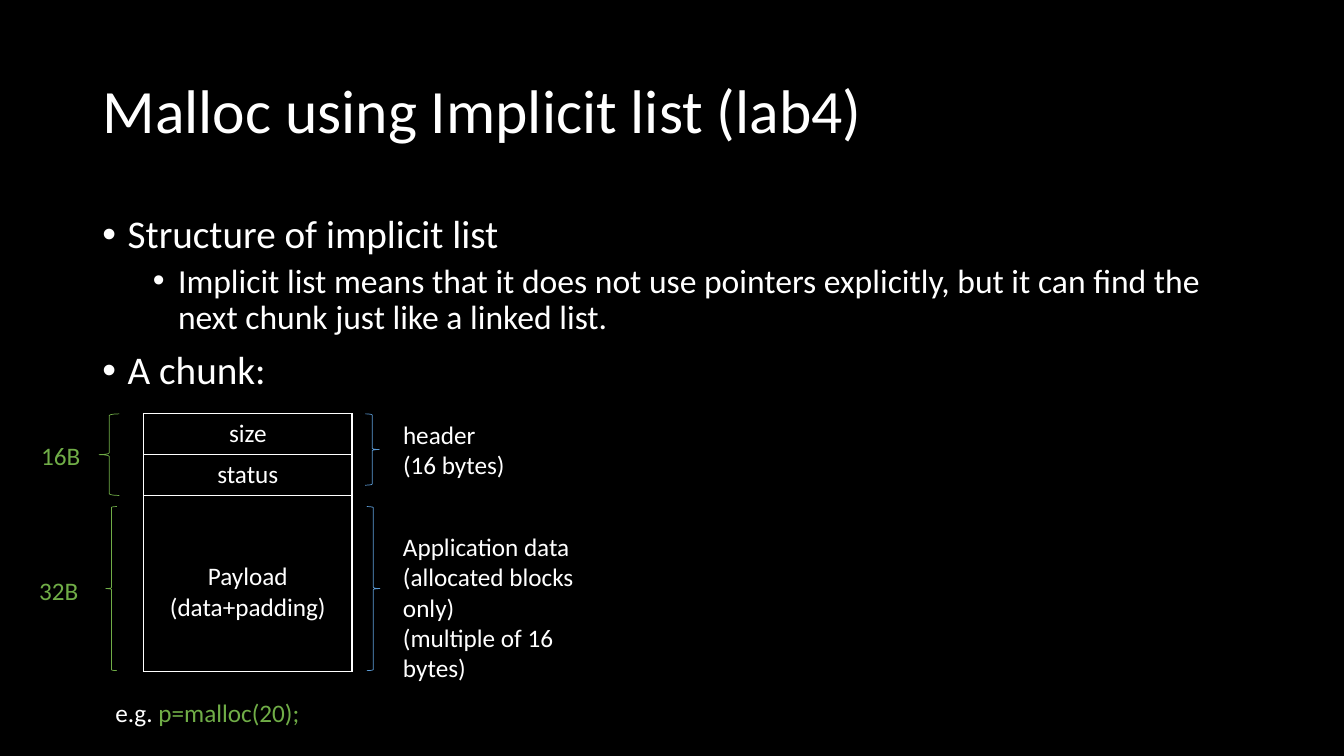
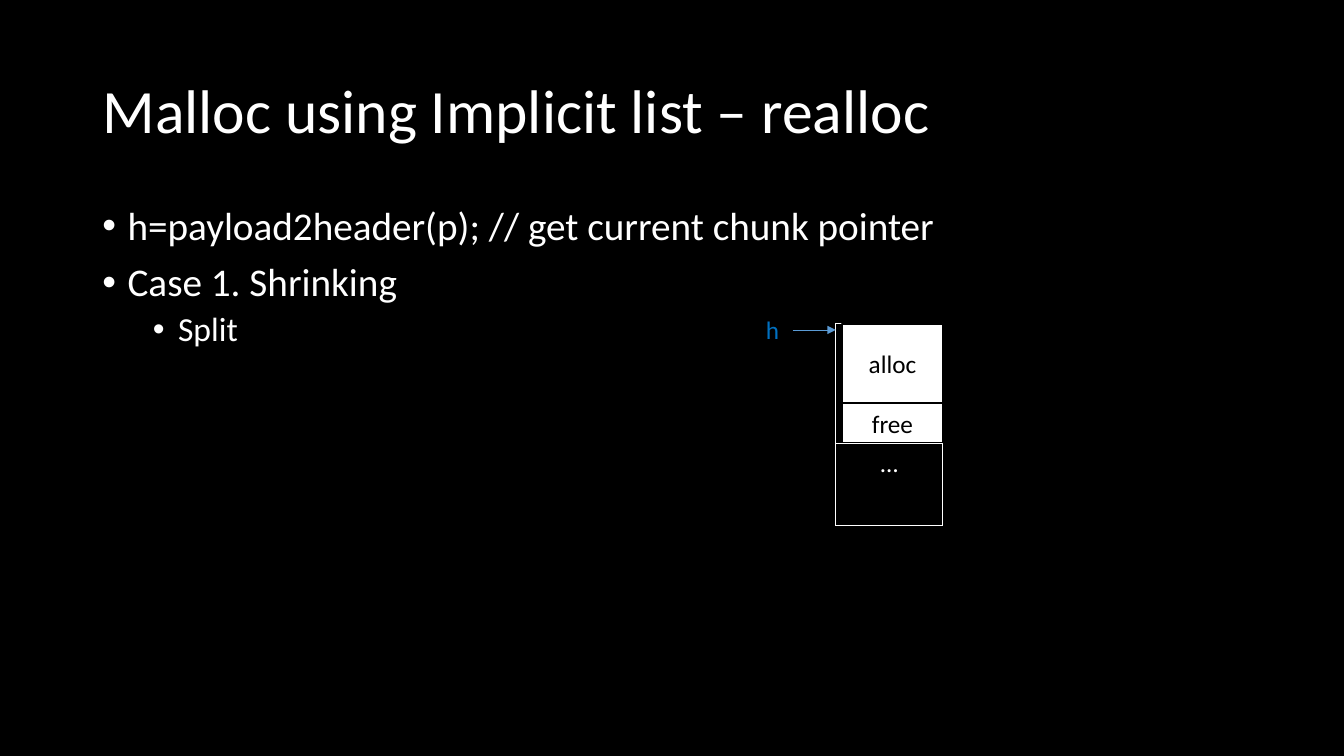
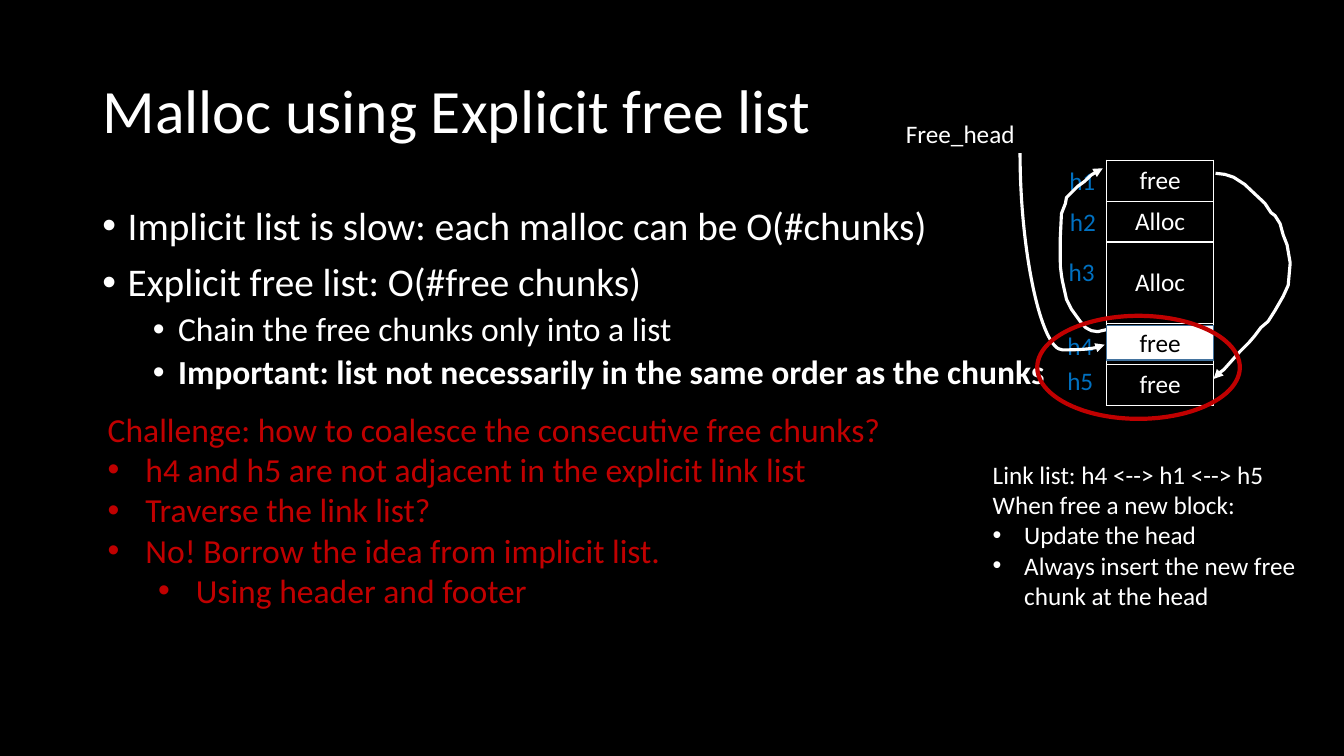
import dataclasses
import itertools
from typing import Any

import lxml.etree
import pptx
import pptx.dml.color
import pptx.enum.shapes
import pptx.enum.text
import pptx.oxml.ns
import pptx.util

FONT = "Calibri"
BLACK, WHITE, RED = "000000", "FFFFFF", "C00000"
GREEN, BLUE, SKY, STEEL = "70AD47", "0070C0", "5B9BD5", "43739E"
ROW = 29.2
LINE = 21.95
CENTER = pptx.enum.text.PP_ALIGN.CENTER
LEFT = pptx.enum.text.PP_ALIGN.LEFT
TOP = pptx.enum.text.MSO_ANCHOR.TOP
MIDDLE = pptx.enum.text.MSO_ANCHOR.MIDDLE
SHAPE = pptx.enum.shapes.MSO_SHAPE
CONNECTOR = pptx.enum.shapes.MSO_CONNECTOR


@dataclasses.dataclass(frozen=True)
class Frame:
    left: float
    top: float
    width: float
    height: float

    def lengths(self) -> list[int]:
        return [pptx.util.Pt(value) for value in dataclasses.astuple(self)]


@dataclasses.dataclass(frozen=True)
class Span:
    text: str
    color: str = WHITE
    bold: bool = False


@dataclasses.dataclass(frozen=True)
class Para:
    spans: tuple[Span, ...]
    size: float = 18
    level: int = 0
    align: Any = LEFT
    margin: float = 0
    hanging: float = 0
    before: float = 0
    spacing: float = 1.0


@dataclasses.dataclass(frozen=True)
class Label:
    frame: Frame
    paras: tuple[Para, ...]


@dataclasses.dataclass(frozen=True)
class Cell:
    height: float
    lines: tuple[str, ...]
    anchor: Any = TOP
    margin_top: float = 3.6


@dataclasses.dataclass(frozen=True)
class Outline:
    kind: Any
    frame: Frame
    color: str
    weight: float


@dataclasses.dataclass(frozen=True)
class Block:
    frame: Frame
    text: str
    border: str


TITLE_FRAME = Frame(66, 28.8, 828, 104.4)


def color(code: str) -> pptx.dml.color.RGBColor:
    return pptx.dml.color.RGBColor.from_string(code)


def set_format(target: Any, values: dict[str, Any]) -> None:
    for name, value in values.items():
        setattr(target, name, value)


def add_element(parent: Any, tag: str, **attributes: str) -> Any:
    return lxml.etree.SubElement(parent, pptx.oxml.ns.qn(tag), attributes)


def plain(text: str, hue: str = WHITE, **values: Any) -> Para:
    return Para((Span(text, hue),), **values)


def point(text: str, level: int = 0, bold: bool = False) -> Para:
    return Para((Span(text, bold=bold),), size=24 if level else 28, level=level,
                margin=18 + 36 * level, hanging=18, before=5 if level else 10, spacing=0.9)


def write(text_frame: Any, paras: tuple[Para, ...]) -> None:
    for index, para in enumerate(paras):
        target = text_frame.paragraphs[0] if index == 0 else text_frame.add_paragraph()
        properties = target._p.get_or_add_pPr()
        properties.set("marL", str(pptx.util.Pt(para.margin)))
        properties.set("indent", str(-pptx.util.Pt(para.hanging)))
        if para.hanging:
            add_element(properties, "a:buFont", typeface="Arial")
            add_element(properties, "a:buChar", char="•")
        else:
            add_element(properties, "a:buNone")
        set_format(target, {
            "level": para.level, "alignment": para.align, "line_spacing": para.spacing,
            "space_before": pptx.util.Pt(para.before if index else 0),
        })
        for span in para.spans:
            run = target.add_run()
            run.text = span.text
            set_format(run.font, {"name": FONT, "size": pptx.util.Pt(para.size), "bold": span.bold})
            run.font.color.rgb = color(span.color)


def place(shape: Any, frame: Frame) -> None:
    set_format(shape, dict(zip(("left", "top", "width", "height"), frame.lengths())))


def add_page(deck: Any, title: str, body_frame: Frame, points: tuple[Para, ...]) -> Any:
    page = deck.slides.add_slide(deck.slide_layouts[1])
    heading = plain(title, size=44, spacing=0.9)
    for holder, frame, anchor, paras in (
        (page.shapes.title, TITLE_FRAME, MIDDLE, (heading,)),
        (page.placeholders[1], body_frame, TOP, points),
    ):
        place(holder, frame)
        set_format(holder.text_frame, {
            "word_wrap": True, "vertical_anchor": anchor,
            "auto_size": pptx.enum.text.MSO_AUTO_SIZE.NONE,
        })
        write(holder.text_frame, paras)
    return page


def add_label(page: Any, label: Label) -> Any:
    box = page.shapes.add_textbox(*label.frame.lengths())
    box.text_frame.word_wrap = True
    write(box.text_frame, label.paras)
    return box


def add_stack(page: Any, left: float, top: float, width: float, cells: tuple[Cell, ...]) -> None:
    frame = Frame(left, top, width, sum(cell.height for cell in cells))
    table = page.shapes.add_table(len(cells), 1, *frame.lengths()).table
    set_format(table, {"first_row": False, "horz_banding": False})
    for index, item in enumerate(cells):
        table.rows[index].height = pptx.util.Pt(item.height)
        cell = table.cell(index, 0)
        set_format(cell, {"vertical_anchor": item.anchor, "margin_top": pptx.util.Pt(item.margin_top)})
        properties = cell._tc.get_or_add_tcPr()
        for side in ("L", "R", "T", "B"):
            border = add_element(properties, f"a:ln{side}", w=str(pptx.util.Pt(1)))
            add_element(add_element(border, "a:solidFill"), "a:srgbClr", val=WHITE)
        cell.fill.background()
        write(cell.text_frame, tuple(plain(text, align=CENTER) for text in item.lines))


def set_line(shape: Any, hue: str, weight: float, arrow: bool = False) -> None:
    shape.line.color.rgb = color(hue)
    shape.line.width = pptx.util.Pt(weight)
    if arrow:
        line = shape._element.spPr.find(pptx.oxml.ns.qn("a:ln"))
        add_element(line, "a:tailEnd", type="triangle")


def add_outline(page: Any, outline: Outline) -> None:
    shape = page.shapes.add_shape(outline.kind, *outline.frame.lengths())
    shape.shadow.inherit = False
    shape.fill.background()
    set_line(shape, outline.color, outline.weight)


def add_block(page: Any, block: Block) -> None:
    shape = page.shapes.add_shape(SHAPE.RECTANGLE, *block.frame.lengths())
    shape.shadow.inherit = False
    shape.fill.solid()
    shape.fill.fore_color.rgb = color(WHITE)
    set_line(shape, block.border, 1)
    shape.text_frame.vertical_anchor = MIDDLE
    write(shape.text_frame, (plain(block.text, BLACK, align=CENTER),))


def add_arrow(page: Any, kind: Any, ends: tuple[float, ...], hue: str, weight: float) -> Any:
    arrow = page.shapes.add_connector(kind, *(pptx.util.Pt(value) for value in ends))
    set_line(arrow, hue, weight, arrow=True)
    add_element(arrow._element.spPr, "a:effectLst")
    return arrow


def add_sketch(page: Any, points: tuple[tuple[float, float], ...]) -> None:
    lengths = [(pptx.util.Pt(across), pptx.util.Pt(down)) for across, down in points]
    builder = page.shapes.build_freeform(*lengths[0])
    builder.add_line_segments(lengths[1:], close=False)
    sketch = builder.convert_to_shape()
    sketch.shadow.inherit = False
    sketch.fill.background()
    set_line(sketch, WHITE, 2.25, arrow=True)


def build_chunk_page(deck: Any) -> None:
    page = add_page(deck, "Malloc using Implicit list (lab4)", Frame(66, 149.8, 828, 342.7), (
        point("Structure of implicit list"),
        point("Implicit list means that it does not use pointers explicitly, "
              "but it can find the next chunk just like a linked list.", 1),
        point("A chunk:"),
    ))
    add_stack(page, 102.5, 295.5, 149, (
        Cell(ROW, ("size",)),
        Cell(ROW, ("status",)),
        Cell(125.6, ("Payload", "(data+padding)"), margin_top=3.6 + 2 * LINE),
    ))
    for outline in (
        Outline(SHAPE.RIGHT_BRACE, Frame(260.9, 295.6, 10, 51), SKY, 0.5),
        Outline(SHAPE.RIGHT_BRACE, Frame(262, 361.8, 9.4, 117.2), SKY, 0.5),
        Outline(SHAPE.LEFT_BRACE, Frame(75.6, 361.8, 8, 117.2), GREEN, 0.5),
        Outline(SHAPE.LEFT_BRACE, Frame(70.8, 295.6, 14.4, 58.3), GREEN, 0.5),
    ):
        add_outline(page, outline)
    for label in (
        Label(Frame(280.8, 295.9, 92.9, 51), (plain("header"), plain("(16 bytes)"))),
        Label(Frame(280.8, 376, 165.6, 116.6), (
            plain("Application data"),
            plain("(allocated blocks only)"),
            plain("(multiple of 16 bytes)"),
        )),
        Label(Frame(75.3, 494.6, 185.8, 29), (Para((Span("e.g. "), Span("p=malloc(20);", GREEN))),)),
        Label(Frame(20.9, 407.5, 50.4, 29), (plain("32B", GREEN),)),
        Label(Frame(22.3, 311, 50.4, 29), (plain("16B", GREEN),)),
    ):
        add_label(page, label)


def build_realloc_page(deck: Any) -> None:
    page = add_page(deck, "Malloc using Implicit list – realloc", Frame(66, 144, 828, 342.7), (
        point("h=payload2header(p); // get current chunk pointer"),
        point("Case 1. Shrinking"),
        point("Split", 1),
    ))
    add_stack(page, 597, 231, 76.3, (Cell(85.6, ("Alloc",)), Cell(58.8, ("…",))))
    pointer = add_label(page, Label(Frame(540, 221.2, 26.2, 29), (plain("h", BLUE),)))
    arrow = add_arrow(page, CONNECTOR.STRAIGHT, (566.2, 235.7, 597, 235.7), SKY, 0.5)
    arrow.begin_connect(pointer, 3)
    add_block(page, Block(Frame(601.5, 231.4, 72, 56.4), "alloc", BLACK))
    add_block(page, Block(Frame(601.5, 288, 72, 28.2), "free", BLACK))


def build_free_list_page(deck: Any) -> None:
    page = add_page(deck, "Malloc using Explicit free list", Frame(66, 144, 871.9, 342.7), (
        point("Implicit list is slow: each malloc can be O(#chunks)"),
        point("Explicit free list: O(#free chunks)"),
        point("Chain the free chunks only into a list", 1),
        point("Important: list not necessarily in the same order as the chunks", 1, bold=True),
    ))
    add_stack(page, 790.4, 114.5, 76.5, (
        Cell(ROW, ("free",)),
        Cell(ROW, ("Alloc",)),
        Cell(2 * ROW, ("Alloc",), MIDDLE),
        Cell(ROW, ("Alloc",)),
        Cell(ROW, ("free",)),
    ))
    places = ((756.7, 114.5), (757.2, 144), (756.2, 179.7), (755.3, 232.6), (755.3, 257.4))
    for (left, top), number in zip(places, itertools.count(1)):
        add_label(page, Label(Frame(left, top, 36, 29), (plain(f"h{number}", BLUE),)))
    add_label(page, Label(Frame(640, 81, 109.4, 29), (plain("Free_head"),)))

    head = add_arrow(page, CONNECTOR.CURVE, (827.3, 147.6, 690.5, 208.1), WHITE, 2.25)
    properties = head._element.spPr
    properties.find(pptx.oxml.ns.qn("a:xfrm")).set("rot", str(270 * 60000))
    guides = properties.find(pptx.oxml.ns.qn("a:prstGeom")).find(pptx.oxml.ns.qn("a:avLst"))
    add_element(guides, "a:gd", name="adj1", fmla="val 102700")

    add_sketch(page, (
        (868.3, 123.8), (875, 124.6), (881.3, 126.7), (889.2, 131.8), (892.1, 134.6),
        (901.4, 143.3), (903.6, 145.4), (907.9, 151.9), (910.8, 154.1), (914.4, 159.8),
        (916.6, 167.8), (919.4, 175), (921.6, 187.9), (920.2, 203.8), (916.6, 211.7),
        (910.8, 221.8), (905.8, 229.7), (900.7, 234), (896.4, 239.8), (892.1, 244.8),
        (885.6, 251.3), (879.8, 257.8), (874.1, 264.2), (869, 267.8), (866.9, 270.7),
    ))
    add_sketch(page, (
        (790.6, 235.4), (784.1, 236.9), (779.5, 236.2), (775.4, 234), (771.5, 229.5),
        (767.5, 223.9), (765.4, 221), (761.8, 213.8), (758.9, 200.9), (758.2, 196.6),
        (757.4, 190.1), (757.3, 171), (758.2, 152.6), (761, 145.4), (761.8, 141.1),
        (766.8, 136.1), (769.7, 133.2), (774.7, 129.6), (779.5, 125), (784.8, 121.7),
        (787.7, 120.2),
    ))
    bullet = {"margin": 22.5, "hanging": 22.5}
    add_label(page, Label(Frame(702, 324.4, 251.3, 116.6), (
        plain("Link list: h4 <--> h1 <--> h5"),
        plain("When free a new block:"),
        plain("Update the head", **bullet),
        plain("Always insert the new free chunk at the head", **bullet),
    )))
    add_block(page, Block(Frame(790.4, 232.6, 76.5, 24.5), "free", STEEL))
    bullet = {"size": 24, "margin": 27, "hanging": 27}
    add_label(page, Label(Frame(69.8, 288.4, 577.4, 152.6), (
        plain("Challenge: how to coalesce the consecutive free chunks?", RED, size=24),
        plain("h4 and h5 are not adjacent in the explicit link list", RED, **bullet),
        plain("Traverse the link list?", RED, **bullet),
        plain("No! Borrow the idea from implicit list.", RED, **bullet),
        plain("Using header and footer", RED, **{**bullet, "level": 1, "margin": 63}),
    )))
    add_outline(page, Outline(SHAPE.OVAL, Frame(740.9, 225.6, 144.7, 73.6), RED, 3))


def main() -> None:
    deck = pptx.Presentation()
    set_format(deck, {"slide_width": pptx.util.Pt(960), "slide_height": pptx.util.Pt(540)})
    backdrop = deck.slide_master.background.fill
    backdrop.solid()
    backdrop.fore_color.rgb = color(BLACK)
    build_chunk_page(deck)
    build_realloc_page(deck)
    build_free_list_page(deck)
    deck.save("out.pptx")


if __name__ == "__main__":
    main()
